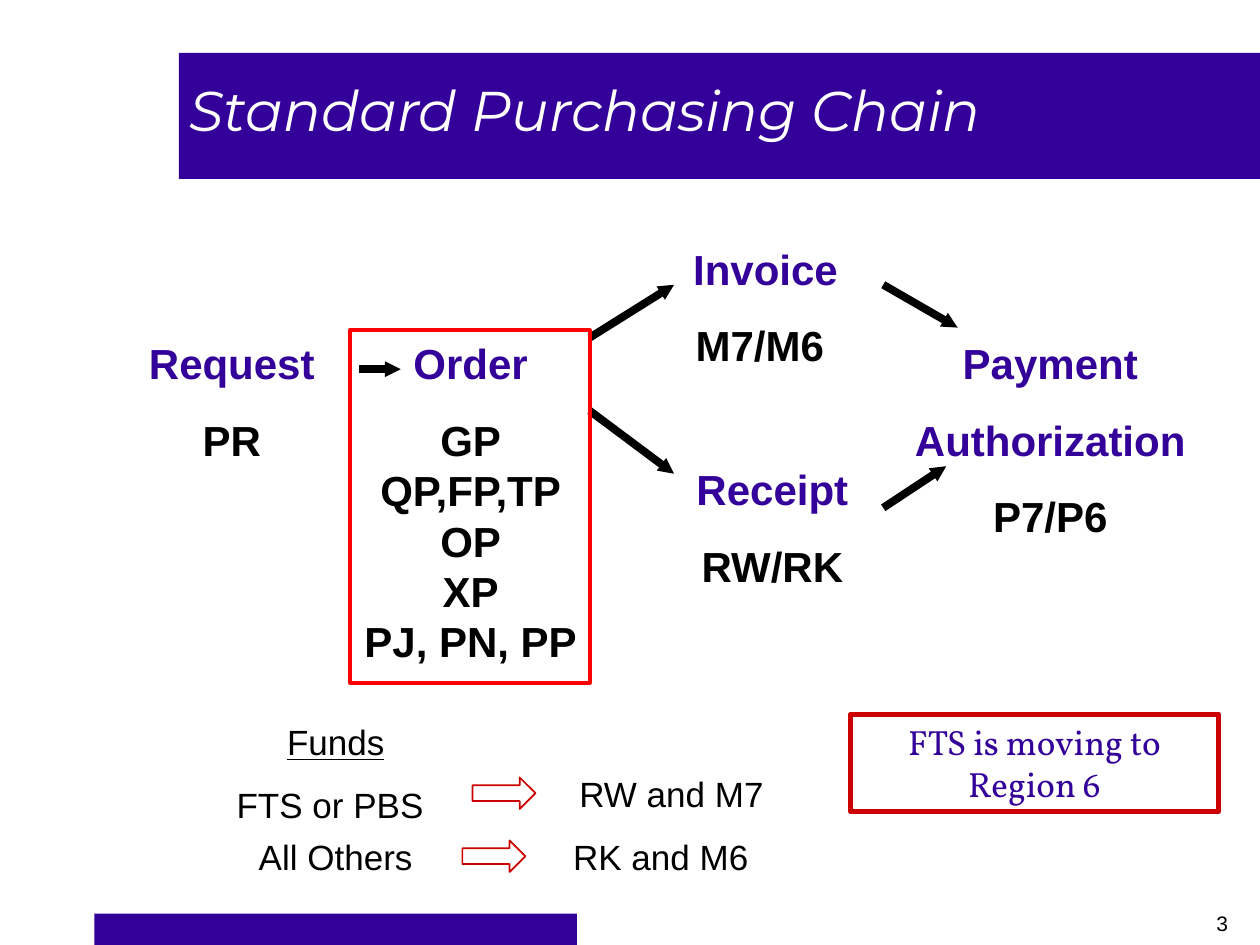
from lxml.etree import SubElement
from pptx import Presentation
from pptx.dml.color import RGBColor
from pptx.enum.shapes import MSO_CONNECTOR, MSO_SHAPE
from pptx.enum.text import MSO_ANCHOR, MSO_AUTO_SIZE, PP_ALIGN
from pptx.oxml.ns import qn
from pptx.util import Inches, Pt

COLORS = {"indigo": "330099", "white": "FFFFFF", "black": "000000",
          "red": "FF0000", "crimson": "CC0000"}

# Content: places are left, top, width, height in inches
TITLE = "Standard Purchasing Chain"
BARS = [(0.75, 7.25, 3.83, 0.25), (1.42, 0.42, 8.58, 1)]
# Each step: place, heading lines, document codes
STEPS = [
    ((1.16, 2.68, 1.36, 1.01), ["Request"], "PR"),
    ((2.88, 2.68, 1.71, 2.61), ["Order"], "GP\nQP,FP,TP\nOP\nXP\nPJ, PN, PP"),
    ((5.48, 3.68, 1.3, 1.01), ["Receipt"], "RW/RK"),
    ((5.36, 1.93, 1.34, 1.01), [" Invoice"], "M7/M6"),
    ((7.24, 2.68, 2.19, 1.62), ["Payment", "Authorization"], "P7/P6"),
]
# Each link: start x, start y, end x, end y
LINKS = [
    (2.85, 2.93, 3.18, 2.93),
    (4.68, 3.26, 5.35, 3.76),
    (4.68, 2.68, 5.35, 2.26),
    (7.01, 4.03, 7.51, 3.7),
    (7.01, 2.26, 7.6, 2.6),
]
ORDER_FRAME = (2.78, 2.62, 1.9, 2.8)
FUNDS_HEADING = ("Funds", (0.58, 5.67, 4.17, 0.44))
FUNDS = [
    ("FTS or PBS", (1.08, 6.17, 3.08, 0.44)),
    ("All Others", (1.83, 6.58, 1.67, 0.44)),
    ("RW and M7", (4.33, 6.08, 2, 0.44)),
    ("RK and M6", (4.33, 6.58, 1.83, 0.44)),
]
FUND_ARROWS = [(3.75, 6.17, 0.5, 0.25), (3.67, 6.67, 0.5, 0.25)]
NOTICE = ("FTS is moving to Region 6", (6.75, 5.67, 2.92, 0.77))
PAGE_NUMBER = ("3", (9.49, 7.18, 0.42, 0.3))


def rgb(name):
    return RGBColor.from_string(COLORS[name])


def inches(values):
    return [Inches(value) for value in values]


def style(paragraph, size, color, font="Arial", align=PP_ALIGN.CENTER,
          before=0, **flags):
    paragraph.alignment = align
    paragraph.space_before = Pt(before)
    for run in paragraph.runs:
        run.font.name = font
        run.font.size = Pt(size)
        run.font.color.rgb = rgb(color)
        for flag, value in flags.items():
            setattr(run.font, flag, value)


def add_box(slide, kind, place, fill=None, line=None, width=1):
    box = slide.shapes.add_shape(kind, *inches(place))
    box.shadow.inherit = False
    if fill:
        box.fill.solid()
        box.fill.fore_color.rgb = rgb(fill)
    else:
        box.fill.background()
    if line:
        box.line.color.rgb = rgb(line)
        box.line.width = Pt(width)
    else:
        box.line.fill.background()
    return box


def add_label(slide, text, place, size=20, **flags):
    frame = slide.shapes.add_textbox(*inches(place)).text_frame
    frame.word_wrap = True
    frame.text = text
    style(frame.paragraphs[0], size, "black", **flags)


def add_step(slide, place, headings, codes):
    frame = slide.shapes.add_textbox(*inches(place)).text_frame
    frame.word_wrap = False
    frame.auto_size = MSO_AUTO_SIZE.SHAPE_TO_FIT_TEXT
    frame.margin_left = frame.margin_right = 0
    frame.margin_top = frame.margin_bottom = 0
    for index, text in enumerate([*headings, codes]):
        paragraph = frame.add_paragraph() if index else frame.paragraphs[0]
        paragraph.text = text
        color = "indigo" if index < len(headings) else "black"
        style(paragraph, 24, color, before=15, bold=True)


def add_link(slide, ends):
    link = slide.shapes.add_connector(MSO_CONNECTOR.STRAIGHT, *inches(ends))
    link.line.color.rgb = rgb("black")
    link.line.width = Pt(4.5)
    SubElement(link.line._get_or_add_ln(), qn("a:tailEnd"),
               type="triangle", w="sm", len="sm")
    SubElement(link._element.spPr, qn("a:effectLst"))


def main():
    deck = Presentation()
    deck.slide_width, deck.slide_height = inches((10, 7.5))
    slide = deck.slides.add_slide(deck.slide_layouts[5])

    # Bars, with the title brought in front of them
    for place in BARS:
        add_box(slide, MSO_SHAPE.RECTANGLE, place, fill="indigo")
    title = slide.shapes.title
    slide.shapes._spTree.append(title._element)
    title.left, title.top, title.width, title.height = inches((1.4, 0.5, 8.1, 1.25))
    heading = title.text_frame
    heading.text = TITLE
    heading.auto_size = MSO_AUTO_SIZE.NONE
    heading.vertical_anchor = MSO_ANCHOR.TOP
    heading.margin_top = Inches(0.1)
    style(heading.paragraphs[0], 32, "white", "Montserrat", PP_ALIGN.LEFT, italic=True)

    # Purchasing chain
    for step in STEPS:
        add_step(slide, *step)
    for ends in LINKS:
        add_link(slide, ends)
    add_box(slide, MSO_SHAPE.RECTANGLE, ORDER_FRAME, line="red", width=2.25)

    # Funds and their documents
    add_label(slide, *FUNDS_HEADING, underline=True)
    for text, place in FUNDS:
        add_label(slide, text, place)
    for place in FUND_ARROWS:
        add_box(slide, MSO_SHAPE.RIGHT_ARROW, place, "white", "crimson")

    # Notice and page number
    text, place = NOTICE
    notice = add_box(slide, MSO_SHAPE.RECTANGLE, place, "white", "crimson", 3).text_frame
    notice.text = text
    notice.word_wrap = True
    notice.vertical_anchor = MSO_ANCHOR.TOP
    style(notice.paragraphs[0], 20, "indigo", "Vollkorn")
    add_label(slide, *PAGE_NUMBER, size=12)

    deck.save("out.pptx")


if __name__ == "__main__":
    main()
